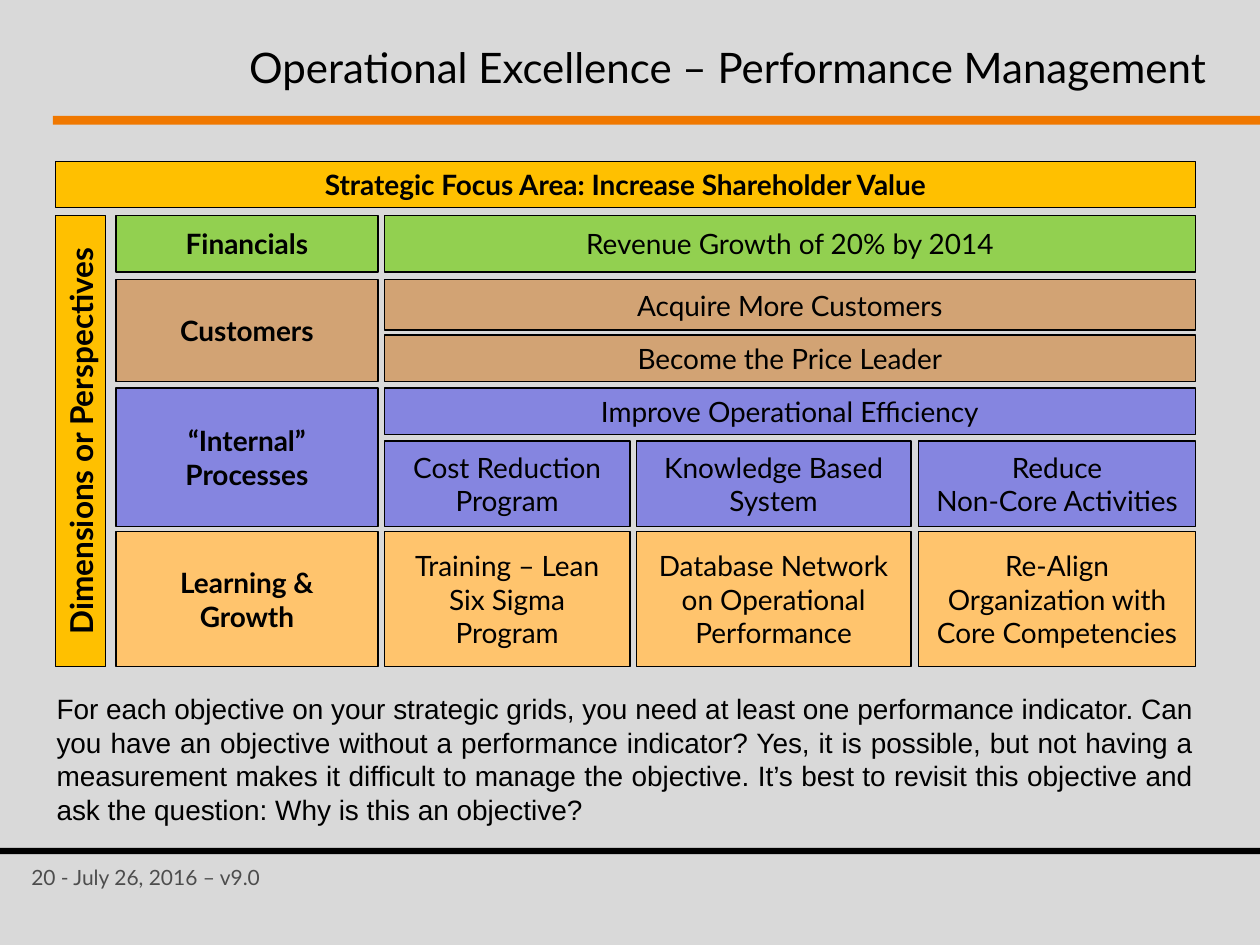
from pptx import Presentation
from pptx.dml.color import RGBColor
from pptx.enum.shapes import MSO_SHAPE as Shape
from pptx.enum.text import MSO_ANCHOR as Anchor, MSO_AUTO_SIZE as AutoSize, PP_ALIGN as Align
from pptx.util import Inches, Pt

COLORS = {
    "background": "D9D9D9", "accent": "F07800", "black": "000000", "footer": "4D4D4D",
    "focus": "FFC000", "financials": "92D050", "customers": "D2A374",
    "processes": "8585E0", "learning": "FFC46D",
}
COLUMNS = [(0.44, 0.84), (0.92, 3.0), (3.05, 5.0), (5.05, 7.23), (7.29, 9.49)]
ROWS = [(1.28, 1.65), (1.71, 2.16), (2.22, 2.62), (2.66, 3.03),
        (3.08, 3.45), (3.5, 4.18), (4.22, 5.29)]
CELLS = [
    ("Strategic Focus Area: Increase Shareholder Value", "focus", (0, 4), (0, 0), True),
    ("Financials", "financials", (1, 1), (1, 1), True),
    ("Revenue Growth of 20% by 2014", "financials", (2, 4), (1, 1), False),
    ("Customers", "customers", (1, 1), (2, 3), True),
    ("Acquire More Customers", "customers", (2, 4), (2, 2), False),
    ("Become the Price Leader", "customers", (2, 4), (3, 3), False),
    ("“Internal”\nProcesses", "processes", (1, 1), (4, 5), True),
    ("Improve Operational Efficiency", "processes", (2, 4), (4, 4), False),
    ("Cost Reduction Program", "processes", (2, 2), (5, 5), False),
    ("Knowledge Based\nSystem", "processes", (3, 3), (5, 5), False),
    ("Reduce\nNon-Core Activities", "processes", (4, 4), (5, 5), False),
    ("Learning &\nGrowth", "learning", (1, 1), (6, 6), True),
    ("Training – Lean Six Sigma Program", "learning", (2, 2), (6, 6), False),
    ("Database Network on Operational Performance", "learning", (3, 3), (6, 6), False),
    ("Re-Align Organization with Core Competencies", "learning", (4, 4), (6, 6), False),
]
ADVICE = (
    "For each objective on your strategic grids, you need at least one performance indicator. "
    "Can you have an objective without a performance indicator? Yes, it is possible, but not "
    "having a measurement makes it difficult to manage the objective. It’s best to revisit this "
    "objective and ask the question: Why is this an objective?"
)


def color(name):
    """Return the named colour."""
    return RGBColor.from_string(COLORS[name])


def write(box, text, size, align, font="Lato", bold=False, ink="black"):
    """Put formatted text into a shape."""
    frame = box.text_frame
    frame.text = text
    frame.word_wrap = True
    for para in frame.paragraphs:
        para.alignment = align
        for span in para.runs:
            span.font.name, span.font.size, span.font.bold = font, Pt(size), bold
            span.font.color.rgb = color(ink)


def add_box(slide, left, top, width, height, fill, outlined=True):
    """Add a filled rectangle."""
    box = slide.shapes.add_shape(
        Shape.RECTANGLE, *map(Inches, (left, top, width, height)))
    box.shadow.inherit = False
    box.fill.solid()
    box.fill.fore_color.rgb = color(fill)
    if outlined:
        box.line.color.rgb = color("black")
        box.line.width = Pt(0.75)
    else:
        box.line.fill.background()
    return box


def add_cell(slide, text, fill, columns, rows, bold):
    """Add a labelled box spanning grid columns and rows."""
    left, right = COLUMNS[columns[0]][0], COLUMNS[columns[1]][1]
    top, bottom = ROWS[rows[0]][0], ROWS[rows[1]][1]
    box = add_box(slide, left, top, right - left, bottom - top, fill)
    write(box, text, 16, Align.CENTER, bold=bold)
    box.text_frame.vertical_anchor = Anchor.MIDDLE


def add_side_label(slide, text):
    """Add the turned label beside the grid rows."""
    left, right = COLUMNS[0]
    top, bottom = ROWS[1][0], ROWS[-1][1]
    length, depth = bottom - top, right - left
    box = add_box(slide, (left + right - length) / 2, (top + bottom - depth) / 2,
                  length, depth, "focus")
    box.rotation = 270
    write(box, text, 18, Align.CENTER, bold=True)
    box.text_frame.word_wrap = False
    box.text_frame.vertical_anchor = Anchor.TOP


def add_text(slide, text, left, top, width, height, size, align, **style):
    """Add a plain text box."""
    box = slide.shapes.add_textbox(*map(Inches, (left, top, width, height)))
    write(box, text, size, align, **style)


def set_title(slide, text):
    """Place and format the title placeholder."""
    title = slide.shapes.title
    title.left, title.top, title.width, title.height = map(Inches, (0.38, 0.21, 9.29, 0.64))
    write(title, text, 24, Align.RIGHT)
    title.text_frame.auto_size = AutoSize.NONE
    title.text_frame.vertical_anchor = Anchor.MIDDLE


def main():
    """Build and save the slide."""
    deck = Presentation()
    deck.slide_width, deck.slide_height = Inches(10), Inches(7.5)
    slide = deck.slides.add_slide(deck.slide_layouts[5])
    slide.background.fill.solid()
    slide.background.fill.fore_color.rgb = color("background")
    add_box(slide, 0.42, 0.92, 9.58, 0.07, "accent", outlined=False)
    add_box(slide, 0, 6.73, 10, 0.05, "black", outlined=False)
    add_text(slide, "20 - July 26, 2016 – v9.0", 0.15, 6.81, 2.53, 0.3,
             12, Align.LEFT, ink="footer")
    set_title(slide, "Operational Excellence – Performance Management")
    for cell in CELLS:
        add_cell(slide, *cell)
    add_text(slide, ADVICE, 0.35, 5.44, 9.22, 1.18, 16, Align.JUSTIFY, font="Arial")
    add_side_label(slide, "Dimensions or Perspectives")
    deck.save("out.pptx")


if __name__ == "__main__":
    main()
